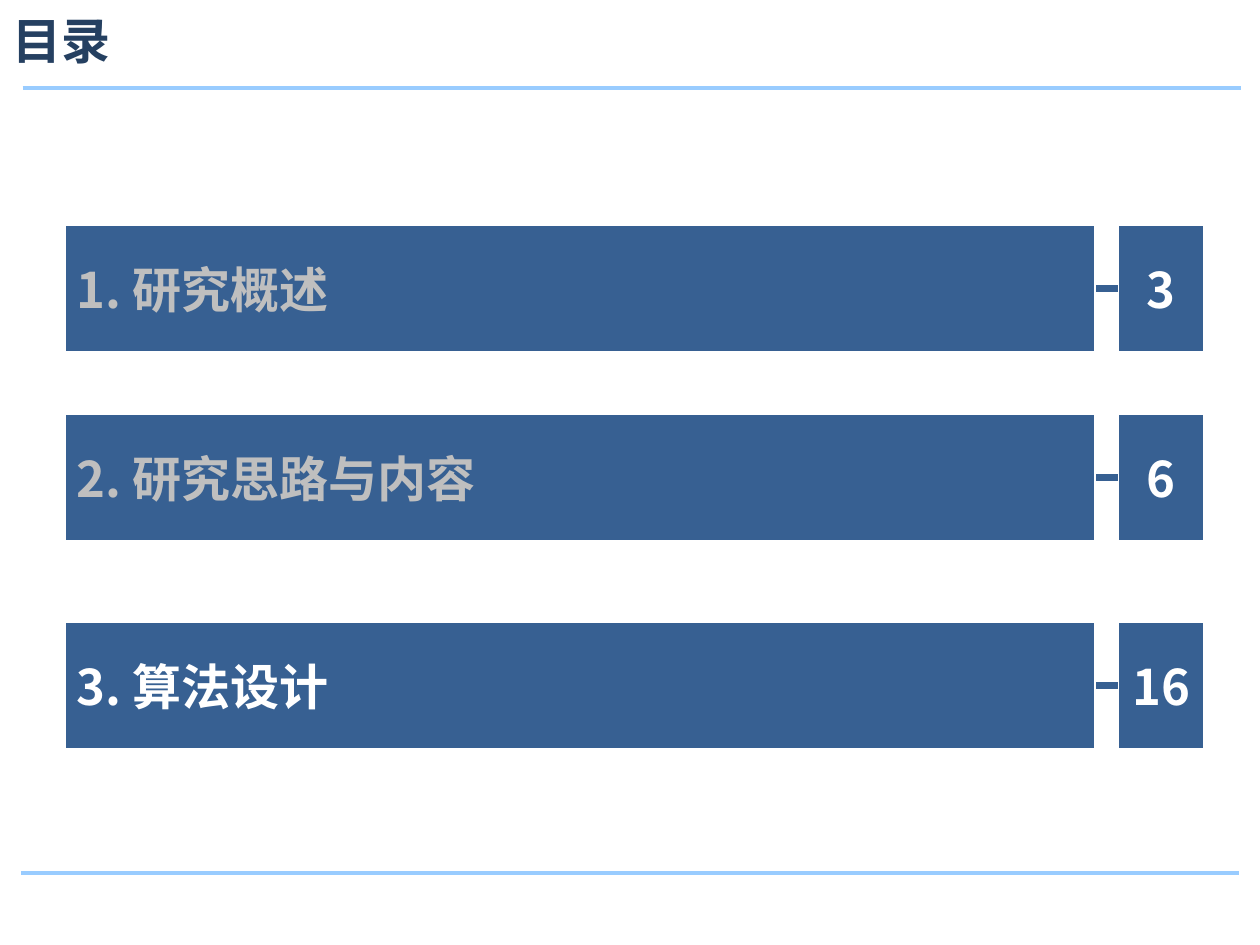
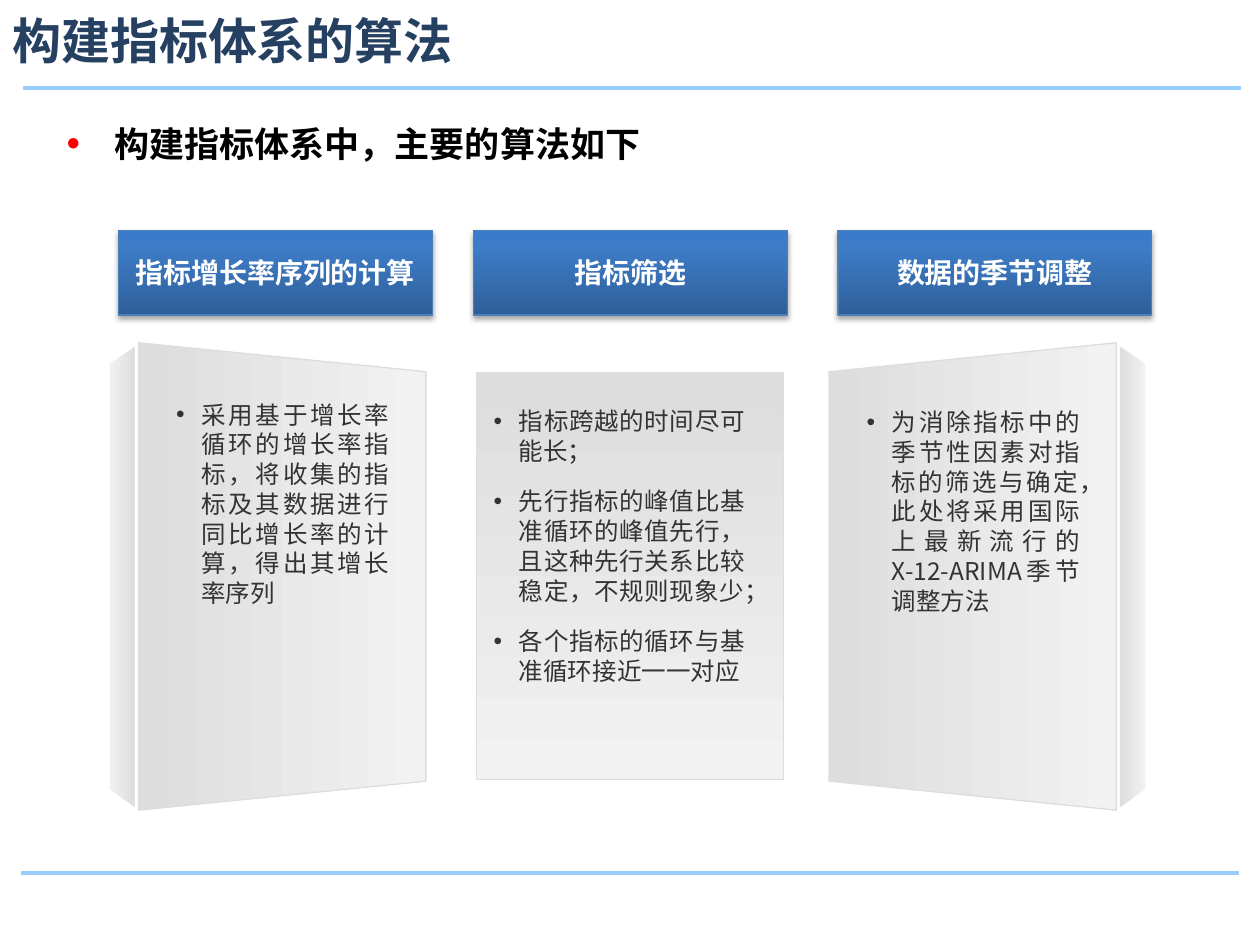
from dataclasses import dataclass

from lxml import etree
from pptx import Presentation
from pptx.dml.color import RGBColor
from pptx.enum.shapes import MSO_CONNECTOR, MSO_SHAPE
from pptx.enum.text import MSO_ANCHOR, PP_ALIGN
from pptx.oxml.ns import qn
from pptx.util import Inches, Pt

LINE, RECT = MSO_CONNECTOR.STRAIGHT, MSO_SHAPE.RECTANGLE
TOP, MIDDLE = MSO_ANCHOR.TOP, MSO_ANCHOR.MIDDLE
LEFT, CENTER, JUSTIFY = PP_ALIGN.LEFT, PP_ALIGN.CENTER, PP_ALIGN.JUSTIFY
WIDTH, HEIGHT = Inches(10), Inches(7.5)
COLS, ROWS = 100, 75


@dataclass(frozen=True)
class Theme:
    font: str = "Noto Sans CJK SC"
    title: str = "254061"
    rule: str = "99CCFF"
    bar: str = "376092"
    white: str = "FFFFFF"
    faded: str = "BFBFBF"
    lead: str = "000000"
    lead_bullet: str = "FF0000"
    body: str = "333333"
    header_line: str = "4B7EBC"
    panel_line: str = "DDDDDD"
    header_stops: tuple = ((0, "2F5F99"), (80, "3D7CC7"), (100, "3A7CCB"))
    panel_stops: tuple = ((0, "DDDDDD"), (100, "F2F2F2"))
    title_size: int = 28
    lead_size: int = 20
    header_size: int = 16
    body_size: int = 14


def col(n):
    return round(WIDTH * n / COLS)


def row(n):
    return round(HEIGHT * n / ROWS)


def box(x, y, w, h):
    return col(x), row(y), col(w), row(h)


def sub(parent, tag, **attrs):
    return etree.SubElement(parent, qn(tag), {k: str(v) for k, v in attrs.items()})


class Deck:
    def __init__(self, theme):
        self.theme = theme
        self.prs = Presentation()
        self.prs.slide_width, self.prs.slide_height = WIDTH, HEIGHT
        self.s = None

    def slide(self, title):
        """Start a slide with the shared rules and title."""
        t = self.theme
        self.s = self.prs.slides.add_slide(self.prs.slide_layouts[6])
        self.line(1.8, 7, 98.5, 7, t.rule, 2.25)
        self.line(1.7, 69.3, 98.3, 69.3, t.rule, 2.25)
        self.text(box(0, 0, 98, 6.4), [title], t.title_size, t.title,
                  bold=True, anchor=MIDDLE)

    def line(self, x1, y1, x2, y2, color, width):
        c = self.s.shapes.add_connector(LINE, col(x1), row(y1), col(x2), row(y2))
        c.line.color.rgb = RGBColor.from_string(color)
        c.line.width = Pt(width)
        sub(c._element.spPr, "a:effectLst")

    def style(self, sp, fill, line, width, angle=0):
        """Fill with one colour, or with gradient stops at a clockwise angle."""
        if isinstance(fill, str):
            sp.fill.solid()
            sp.fill.fore_color.rgb = RGBColor.from_string(fill)
        else:
            sp.fill.gradient()
            sp.fill.gradient_angle = (360 - angle) % 360
            stops = sp._element.spPr.find(qn("a:gradFill")).find(qn("a:gsLst"))
            for old in list(stops):
                stops.remove(old)
            for pos, color in fill:
                sub(sub(stops, "a:gs", pos=pos * 1000), "a:srgbClr", val=color)
        sp.line.color.rgb = RGBColor.from_string(line)
        sp.line.width = Pt(width)
        sp.shadow.inherit = False

    def rect(self, area, fill, line, width, angle=0):
        sp = self.s.shapes.add_shape(RECT, *area)
        self.style(sp, fill, line, width, angle)
        return sp

    def outline(self, points, line, width, angle):
        start, *rest = [(col(x), row(y)) for x, y in points]
        fb = self.s.shapes.build_freeform(*start, scale=1.0)
        fb.add_line_segments(rest, close=True)
        self.style(fb.convert_to_shape(), self.theme.panel_stops, line, width, angle)

    def drop_shadow(self, sp):
        effects = sp._element.spPr.find(qn("a:effectLst"))
        shadow = sub(effects, "a:outerShdw", blurRad=Pt(3.1), dist=Pt(1.8),
                     dir=90 * 60000, rotWithShape=0)
        sub(sub(shadow, "a:srgbClr", val="000000"), "a:alpha", val=35000)

    def put_text(self, sp, texts, size, color, bold=False, align=LEFT, anchor=TOP,
                 wrap=True):
        tf = sp.text_frame
        tf.word_wrap, tf.vertical_anchor = wrap, anchor
        for i, text in enumerate(texts):
            p = tf.paragraphs[0] if i == 0 else tf.add_paragraph()
            p.text, p.alignment = text, align
            f = p.font
            f.name, f.size, f.bold = self.theme.font, Pt(size), bold
            f.color.rgb = RGBColor.from_string(color)
            sub(f._element, "a:ea", typeface=self.theme.font)
        return tf

    def text(self, area, texts, size, color, **options):
        return self.put_text(self.s.shapes.add_textbox(*area), texts, size, color,
                             **options)

    def bullets(self, area, texts, size, color, indent, before, leading,
                bullet_color=None, bullet_size=100, **options):
        tf = self.text(area, texts, size, color, **options)
        for p in tf.paragraphs:
            p.space_before, p.line_spacing = Pt(before), Pt(leading)
            pPr = p._p.get_or_add_pPr()
            pPr.set("marL", str(col(indent)))
            pPr.set("indent", str(-col(indent)))
            marks = etree.Element("marks")
            sub(sub(marks, "a:buClr"), "a:srgbClr", val=bullet_color or color)
            sub(marks, "a:buSzPct", val=bullet_size * 1000)
            sub(marks, "a:buFont", typeface="Arial")
            sub(marks, "a:buChar", char="•")
            font = pPr.find(qn("a:defRPr"))
            for mark in list(marks):
                font.addprevious(mark)

    def agenda_row(self, y, label, page, color):
        t = self.theme
        h = 10.2
        for x, w, text, tint, align in ((5.1, 81.9, label, color, LEFT),
                                        (88.7, 6.9, page, t.white, CENTER)):
            sp = self.rect(box(x, y, w, h), t.bar, t.white, 2)
            self.put_text(sp, [text], t.title_size, tint, bold=True, align=align,
                          anchor=MIDDLE)
        self.line(87, y + h / 2, 88.7, y + h / 2, t.bar, 4)

    def header(self, x, label):
        t = self.theme
        sp = self.rect(box(x, 18.3, 24.9, 6.7), t.header_stops, t.header_line,
                       0.75, angle=270)
        self.drop_shadow(sp)
        self.put_text(sp, [label], t.header_size, t.white, bold=True, align=CENTER,
                      anchor=MIDDLE, wrap=False)

    def side_panel(self, mirrored=False):
        """Draw a slanted page and its spine, on the left or the right."""
        t = self.theme
        page = [(11, 64.3), (33.8, 62), (33.8, 29.5), (11, 27.2)]
        spine = [(10.8, 27.3), (8.6, 28.8), (8.6, 62.7), (10.8, 64.3)]
        if mirrored:
            page, spine = ([(99.6 - x, y) for x, y in pts] for pts in (page, spine))
        self.outline(page, t.panel_line, 0.75, angle=0)
        self.outline(spine, t.white, 1.5, angle=0 if mirrored else 180)


def agenda(deck):
    t = deck.theme
    deck.slide("目录")
    for y, label, page, color in ((17.8, "1. 研究概述", "3", t.faded),
                                  (32.8, "2. 研究思路与内容", "6", t.faded),
                                  (49.3, "3. 算法设计", "16", t.white)):
        deck.agenda_row(y, label, page, color)


def algorithms(deck):
    t = deck.theme
    deck.slide("构建指标体系的算法")
    deck.bullets(box(4.3, 8.5, 91.1, 14.1), ["构建指标体系中，主要的算法如下"],
                 t.lead_size, t.lead, indent=3.8, before=6, leading=29,
                 bullet_color=t.lead_bullet, bullet_size=110, bold=True)

    # Panels
    deck.side_panel()
    deck.rect(box(37.8, 29.6, 24.4, 32.3), t.panel_stops, t.panel_line, 0.75, angle=90)
    deck.side_panel(mirrored=True)

    # Headers and the text on each panel
    columns = (
        (9.4, "指标增长率序列的计算", (13, 31.2, 18.9),
         ["采用基于增长率循环的增长率指标，将收集的指标及其数据进行同比增长率的计算，"
          "得出其增长率序列"]),
        (37.6, "指标筛选", (38.2, 31.7, 21.9),
         ["指标跨越的时间尽可能长；",
          "先行指标的峰值比基准循环的峰值先行，且这种先行关系比较稳定，不规则现象少；",
          "各个指标的循环与基准循环接近一一对应"]),
        (66.5, "数据的季节调整", (67.8, 31.8, 18.9),
         ["为消除指标中的季节性因素对指标的筛选与确定，此处将采用国际上最新流行的"
          "X-12-ARIMA季节调整方法"]),
    )
    for header_x, label, (x, y, w), points in columns:
        deck.header(header_x, label)
        deck.bullets(box(x, y, w, 28.4), points, t.body_size, t.body, indent=2,
                     before=12, leading=17, align=JUSTIFY)


def main():
    deck = Deck(Theme())
    agenda(deck)
    algorithms(deck)
    deck.prs.save("out.pptx")


if __name__ == "__main__":
    main()
